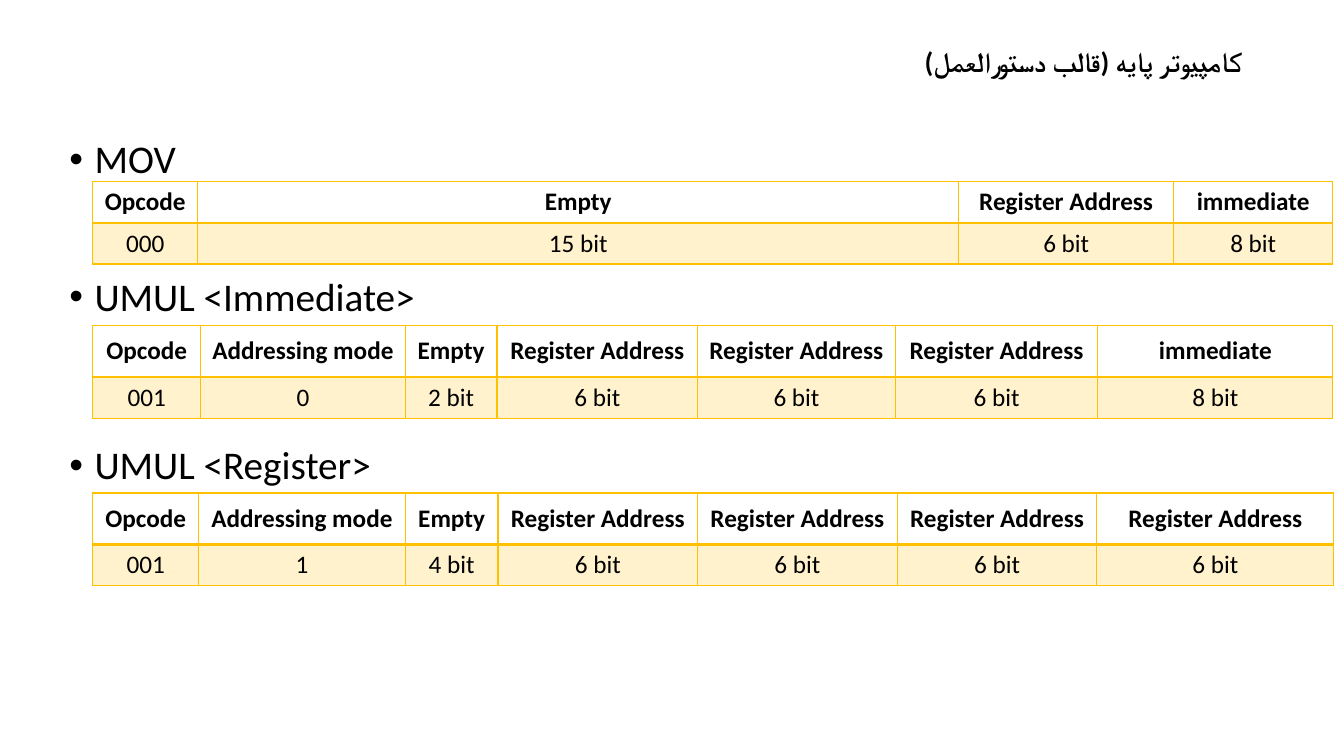
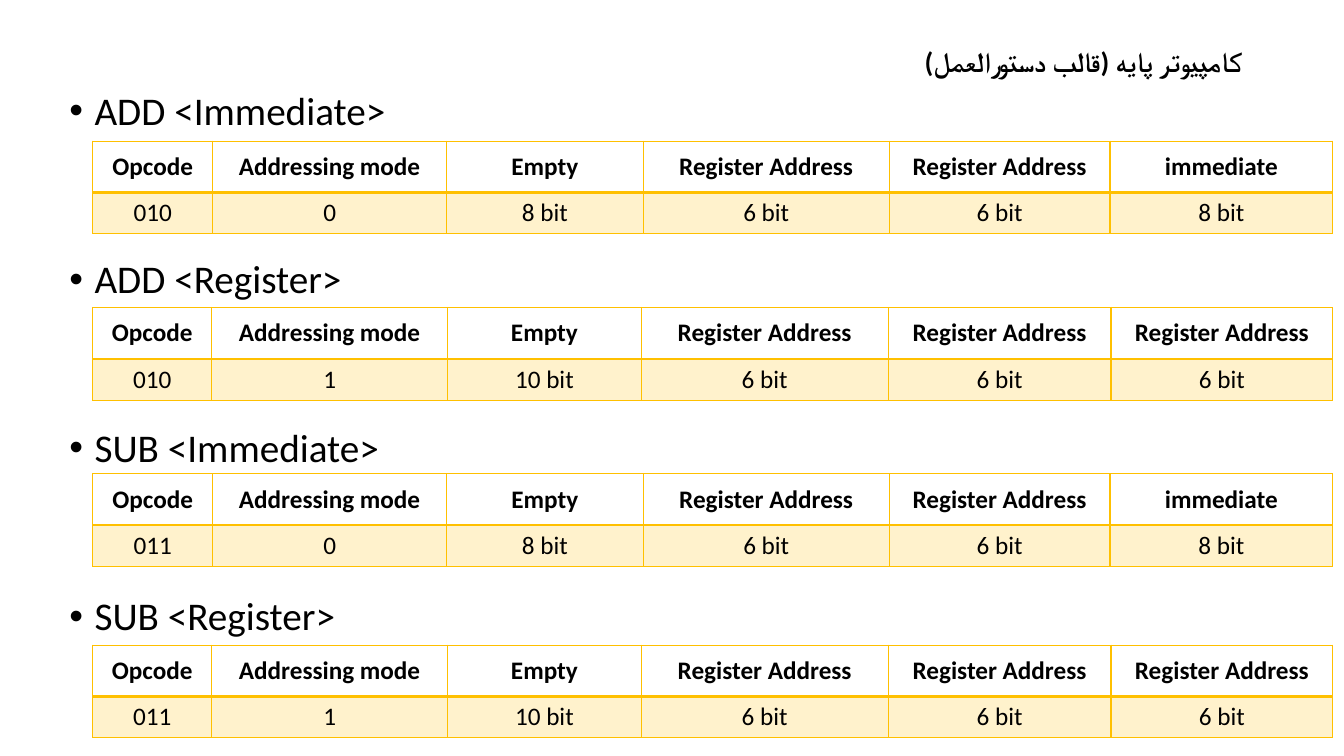
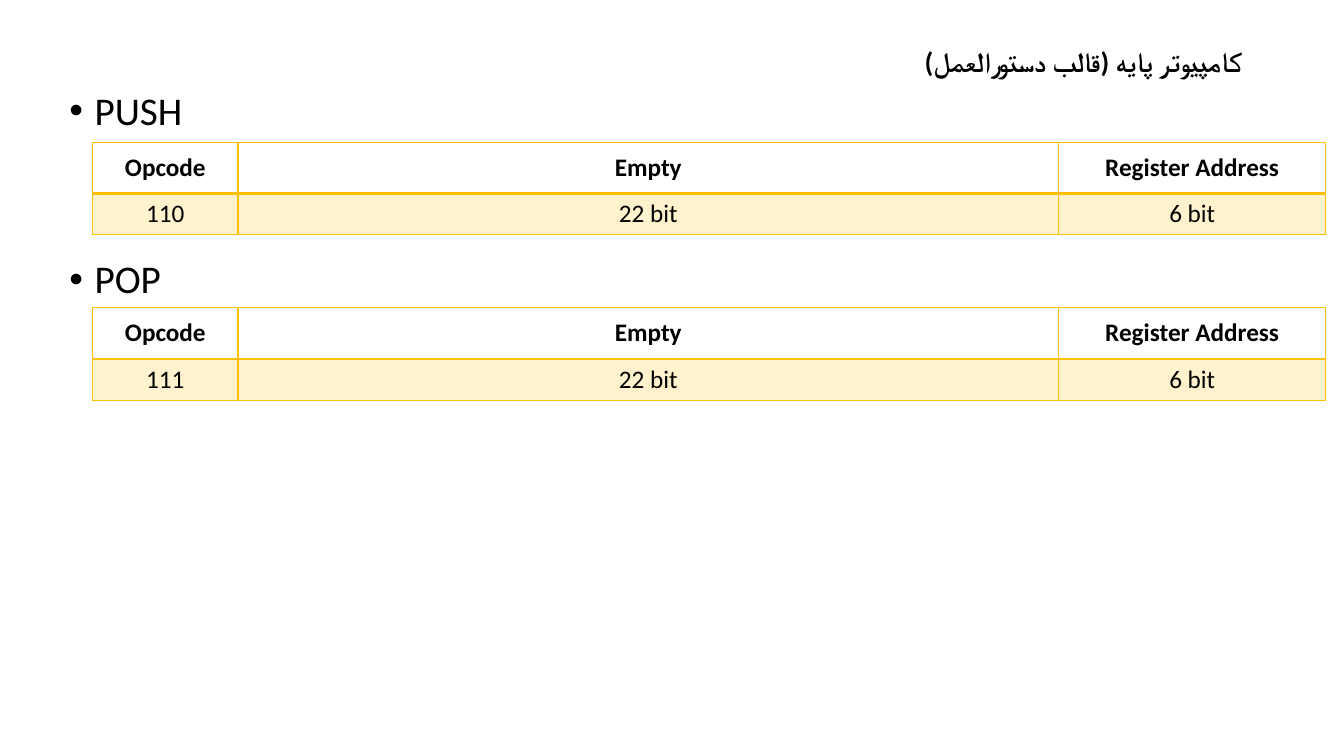
from lxml import etree
from pptx import Presentation
from pptx import util as u
from pptx.dml.color import RGBColor
from pptx.enum import text
from pptx.oxml import ns

COLORS = {"text": "000000", "gold": "FFC000"}
FONT = "Calibri"
TITLE = "کامپیوتر پایه (قالب دستورالعمل)"
NO_STYLE = "{2D5ABB26-0587-4C30-8999-92F81FD0307C}"

# Column headings
OP, MODE, EMPTY, REG, IMM = (
    "Opcode", "Addressing mode", "Empty", "Register Address", "immediate")


def sub(parent, tag, **attrs):
    return etree.SubElement(parent, ns.qn(tag), attrs)


class Deck:
    """Holds the shared style and the current slide."""

    def __init__(self):
        self.prs = Presentation()
        self.prs.slide_width = u.Inches(13.33)
        self.prs.slide_height = u.Inches(7.5)
        self.slide = None

    def style(self, p, size, bold=False):
        p.font.name = FONT
        p.font.size = u.Pt(size)
        p.font.bold = bold
        p.font.color.rgb = RGBColor.from_string(COLORS["text"])

    def new_slide(self, title):
        self.slide = self.prs.slides.add_slide(self.prs.slide_layouts[5])
        sp = self.slide.shapes.title
        sp.left, sp.top = u.Inches(0.92), u.Inches(0.4)
        sp.width, sp.height = u.Inches(11.5), u.Inches(0.46)
        tf = sp.text_frame
        tf.text = title
        tf.auto_size = text.MSO_AUTO_SIZE.NONE
        tf.vertical_anchor = text.MSO_ANCHOR.MIDDLE
        p = tf.paragraphs[0]
        p.alignment = text.PP_ALIGN.RIGHT
        p.line_spacing = 0.9
        self.style(p, 20, bold=True)
        p._p.get_or_add_pPr().set("rtl", "1")
        # Right-to-left text takes the complex-script font
        sub(p.runs[0]._r.get_or_add_rPr(), "a:cs", typeface=FONT)

    def bullets(self, top, width, height, items):
        """items: (text, space before in points)"""
        sp = self.slide.shapes.add_textbox(
            u.Inches(0.59), u.Inches(top), u.Inches(width), u.Inches(height))
        tf = sp.text_frame
        tf.word_wrap = True
        for i, (label, gap) in enumerate(items):
            p = tf.paragraphs[0] if i == 0 else tf.add_paragraph()
            p.text = label
            p.line_spacing = 0.9
            p.space_before = u.Pt(gap)
            self.style(p, 28)
            pPr = p._p.get_or_add_pPr()
            pPr.set("marL", str(u.Inches(0.25)))
            pPr.set("indent", str(-u.Inches(0.25)))
            bullet = [etree.Element(ns.qn("a:buFont"), typeface="Arial"),
                      etree.Element(ns.qn("a:buChar"), char="•")]
            for el in bullet:
                pPr.find(ns.qn("a:defRPr")).addprevious(el)

    def borders(self, cell, **widths):
        tcPr = cell._tc.get_or_add_tcPr()
        for side in "LRTB":
            ln = sub(tcPr, "a:ln" + side, w=str(u.Pt(widths.get(side, 1))))
            sub(sub(ln, "a:solidFill"), "a:srgbClr", val=COLORS["gold"])

    def format_table(self, top, columns, values, head_height=0.51):
        """columns: (heading, width in inches)"""
        heights = (head_height, 0.41)
        frame = self.slide.shapes.add_table(
            2, len(columns), u.Inches(0.92), u.Inches(top),
            u.Inches(sum(w for _, w in columns)), u.Inches(sum(heights)))
        table = frame.table
        table._tbl.tblPr.find(ns.qn("a:tableStyleId")).text = NO_STYLE
        for row, height in zip(table.rows, heights):
            row.height = u.Inches(height)
        for c, ((heading, width), value) in enumerate(zip(columns, values)):
            table.columns[c].width = u.Inches(width)
            head, body = table.cell(0, c), table.cell(1, c)
            self.borders(head, B=2)
            self.borders(body, T=2)
            head.fill.background()
            body.fill.solid()
            body.fill.fore_color.rgb = RGBColor.from_string(COLORS["gold"])
            clr = body._tc.tcPr.find(ns.qn("a:solidFill"))[0]
            sub(clr, "a:alpha", val="20000")
            for cell, label in ((head, heading), (body, value)):
                cell.text = label
                cell.vertical_anchor = text.MSO_ANCHOR.MIDDLE
                p = cell.text_frame.paragraphs[0]
                p.alignment = text.PP_ALIGN.CENTER
                self.style(p, 18, bold=cell is head)


# Instruction formats
MOV = [(OP, 1.04), (EMPTY, 7.55), (REG, 2.13), (IMM, 1.58)]
UMUL_IMM = [(OP, 1.07), (MODE, 2.03), (EMPTY, 0.91), (REG, 1.99),
            (REG, 1.96), (REG, 2.01), (IMM, 2.33)]
UMUL_REG = [(OP, 1.05), (MODE, 2.05), (EMPTY, 0.92), (REG, 1.98),
            (REG, 1.98), (REG, 1.98), (REG, 2.35)]
ALU_IMM = [(OP, 1.19), (MODE, 2.32), (EMPTY, 1.95), (REG, 2.44),
           (REG, 2.19), (IMM, 2.21)]
ALU_REG = [(OP, 1.18), (MODE, 2.34), (EMPTY, 1.92), (REG, 2.45),
           (REG, 2.21), (REG, 2.2)]
STACK = [(OP, 1.44), (EMPTY, 8.14), (REG, 2.65)]


def main():
    deck = Deck()

    # Move and multiply
    deck.new_slide(TITLE)
    deck.bullets(1.34, 12.15, 5.91, [
        ("MOV", 10), ("UMUL <Immediate>", 68), ("UMUL <Register>", 90)])
    deck.format_table(1.8, MOV, ["000", "15 bit", "6 bit", "8 bit"], 0.41)
    deck.format_table(3.23, UMUL_IMM,
                      ["001", "0", "2 bit"] + ["6 bit"] * 3 + ["8 bit"])
    deck.format_table(4.89, UMUL_REG, ["001", "1", "4 bit"] + ["6 bit"] * 4)

    # Add and subtract
    deck.new_slide(TITLE)
    deck.bullets(0.86, 11.5, 5.89, [
        ("ADD <Immediate>", 10), ("ADD <Register>", 90),
        ("SUB <Immediate>", 90), ("SUB <Register>", 90)])
    for opcode, imm_top, reg_top in (("010", 1.4, 3.05), ("011", 4.7, 6.4)):
        deck.format_table(imm_top, ALU_IMM,
                          [opcode, "0", "8 bit", "6 bit", "6 bit", "8 bit"])
        deck.format_table(reg_top, ALU_REG,
                          [opcode, "1", "10 bit"] + ["6 bit"] * 3)

    # Stack
    deck.new_slide(TITLE)
    deck.bullets(0.86, 11.5, 5.89, [("PUSH", 10), ("POP", 90)])
    for opcode, top in (("110", 1.41), ("111", 3.05)):
        deck.format_table(top, STACK, [opcode, "22 bit", "6 bit"])

    deck.prs.save("out.pptx")


if __name__ == "__main__":
    main()
